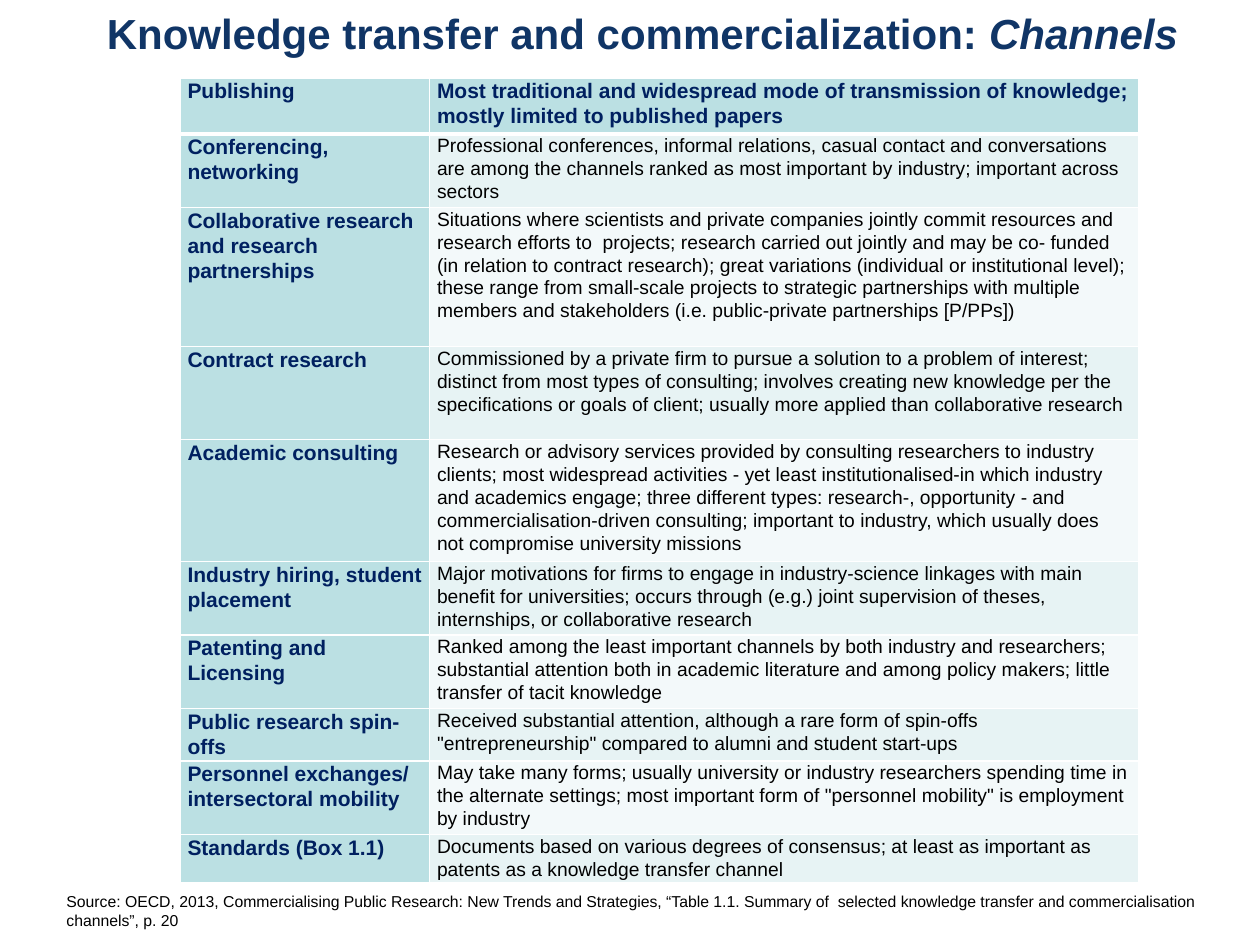
from lxml.etree import SubElement
from pptx import Presentation
from pptx.dml.color import RGBColor
from pptx.enum.text import MSO_ANCHOR, MSO_AUTO_SIZE, PP_ALIGN
from pptx.oxml.ns import qn
from pptx.util import Cm, Pt

FONT = "Arial"
NAVY, TITLE_BLUE, BLACK, WHITE = "002060", "103566", "000000", "FFFFFF"
TEAL, BANDS = "BBE0E3", ("F3F9FA", "E7F3F4")
COL_WIDTHS = (5.03, 14.3)

# Row height in cm, channel, description
CHANNELS = [
    (1.13, "Publishing",
     "Most traditional and widespread mode of transmission of knowledge; "
     "mostly limited to published papers"),
    (1.48, "Conferencing, networking",
     "Professional conferences, informal relations, casual contact and conversations "
     "are among the channels ranked as most important by industry; important across "
     "sectors"),
    (2.81, "Collaborative research and research partnerships",
     "Situations where scientists and private companies jointly commit resources and "
     "research efforts to  projects; research carried out jointly and may be co- funded "
     "(in relation to contract research); great variations (individual or institutional "
     "level); these range from small-scale projects to strategic partnerships with "
     "multiple members and stakeholders (i.e. public-private partnerships [P/PPs])"),
    (1.87, "Contract research",
     "Commissioned by a private firm to pursue a solution to a problem of interest; "
     "distinct from most types of consulting; involves creating new knowledge per the "
     "specifications or goals of client; usually more applied than collaborative research"),
    (2.46, "Academic consulting",
     "Research or advisory services provided by consulting researchers to industry "
     "clients; most widespread activities - yet least institutionalised-in which industry "
     "and academics engage; three different types: research-, opportunity - and "
     "commercialisation-driven consulting; important to industry, which usually does "
     "not compromise university missions"),
    (1.48, "Industry hiring, student placement",
     "Major motivations for firms to engage in industry-science linkages with main "
     "benefit for universities; occurs through (e.g.) joint supervision of theses, "
     "internships, or collaborative research"),
    (1.48, "Patenting and Licensing",
     "Ranked among the least important channels by both industry and researchers; "
     "substantial attention both in academic literature and among policy makers; little "
     "transfer of tacit knowledge"),
    (1.06, "Public research spin-offs",
     "Received substantial attention, although a rare form of spin-offs "
     '"entrepreneurship" compared to alumni and student start-ups'),
    (1.48, "Personnel exchanges/\nintersectoral mobility",
     "May take many forms; usually university or industry researchers spending time in "
     'the alternate settings; most important form of "personnel mobility" is employment '
     "by industry"),
    (0.97, "Standards (Box 1.1)",
     "Documents based on various degrees of consensus; at least as important as "
     "patents as a knowledge transfer channel"),
]


def rgb(color):
    return RGBColor.from_string(color)


def format_run(r, size, color, bold=False, italic=False):
    r.font.name, r.font.size = FONT, Pt(size)
    r.font.bold, r.font.italic = bold, italic
    r.font.color.rgb = rgb(color)


def set_borders(cell, top, bottom):
    """Draw white borders; top and bottom are widths in points."""
    tcPr = cell._tc.get_or_add_tcPr()
    widths = {"a:lnL": 1, "a:lnR": 1, "a:lnT": top, "a:lnB": bottom}
    for i, (tag, width) in enumerate(widths.items()):
        ln = SubElement(tcPr, qn(tag), w=str(Pt(width)))
        fill = SubElement(ln, qn("a:solidFill"))
        SubElement(fill, qn("a:srgbClr"), val=WHITE)
        tcPr.insert(i, ln)


def fill_cell(cell, text, size, color, bold, fill):
    cell.margin_left = cell.margin_right = Cm(0.15)
    cell.margin_top = cell.margin_bottom = 0
    cell.fill.solid()
    cell.fill.fore_color.rgb = rgb(fill)
    tf = cell.text_frame
    tf.text = text
    for p in tf.paragraphs:
        p.line_spacing = 1.07
        p.space_after = Pt(0)
        format_run(p.runs[0], size, color, bold)
    p.space_after = Pt(6)


def add_channel_table(s):
    height = sum(row[0] for row in CHANNELS)
    frame = s.shapes.add_table(len(CHANNELS), 2, Cm(3.63), Cm(1.57),
                               Cm(sum(COL_WIDTHS)), Cm(height))
    table = frame.table
    for column, width in zip(table.columns, COL_WIDTHS):
        column.width = Cm(width)
    for i, (height, channel, description) in enumerate(CHANNELS):
        table.rows[i].height = Cm(height)
        name_cell, text_cell = table.rows[i].cells
        fill_cell(name_cell, channel, 12, NAVY, True, TEAL)
        if i == 0:
            fill_cell(text_cell, description, 12, NAVY, True, TEAL)
        else:
            fill_cell(text_cell, description, 11, BLACK, False, BANDS[i % 2])
        for cell in (name_cell, text_cell):
            set_borders(cell, top=3 if i == 1 else 1, bottom=3 if i == 0 else 1)


def set_title(s):
    title = s.shapes.title
    title.left, title.top = Cm(1.9), Cm(0.03)
    title.width, title.height = Cm(25.3), Cm(1.27)
    tf = title.text_frame
    tf.word_wrap, tf.auto_size = True, MSO_AUTO_SIZE.NONE
    tf.vertical_anchor = MSO_ANCHOR.TOP
    p = tf.paragraphs[0]
    p.alignment = PP_ALIGN.LEFT
    for text, italic in (("Knowledge transfer and commercialization: ", False),
                         ("Channels", True)):
        r = p.add_run()
        r.text = text
        format_run(r, 24, TITLE_BLUE, True, italic)


def add_source_note(s):
    tf = s.shapes.add_textbox(Cm(1.09), Cm(17.86), Cm(24.36), Cm(1.02)).text_frame
    tf.word_wrap = True
    tf.text = ("Source: OECD, 2013, Commercialising Public Research: New Trends and "
               "Strategies, “Table 1.1. Summary of  selected knowledge transfer and "
               "commercialisation channels”, p. 20")
    format_run(tf.paragraphs[0].runs[0], 9, BLACK)


def main():
    prs = Presentation()
    prs.slide_width, prs.slide_height = Cm(25.4), Cm(19.05)
    s = prs.slides.add_slide(prs.slide_layouts[5])
    add_channel_table(s)
    set_title(s)
    add_source_note(s)
    prs.save("out.pptx")


if __name__ == "__main__":
    main()
